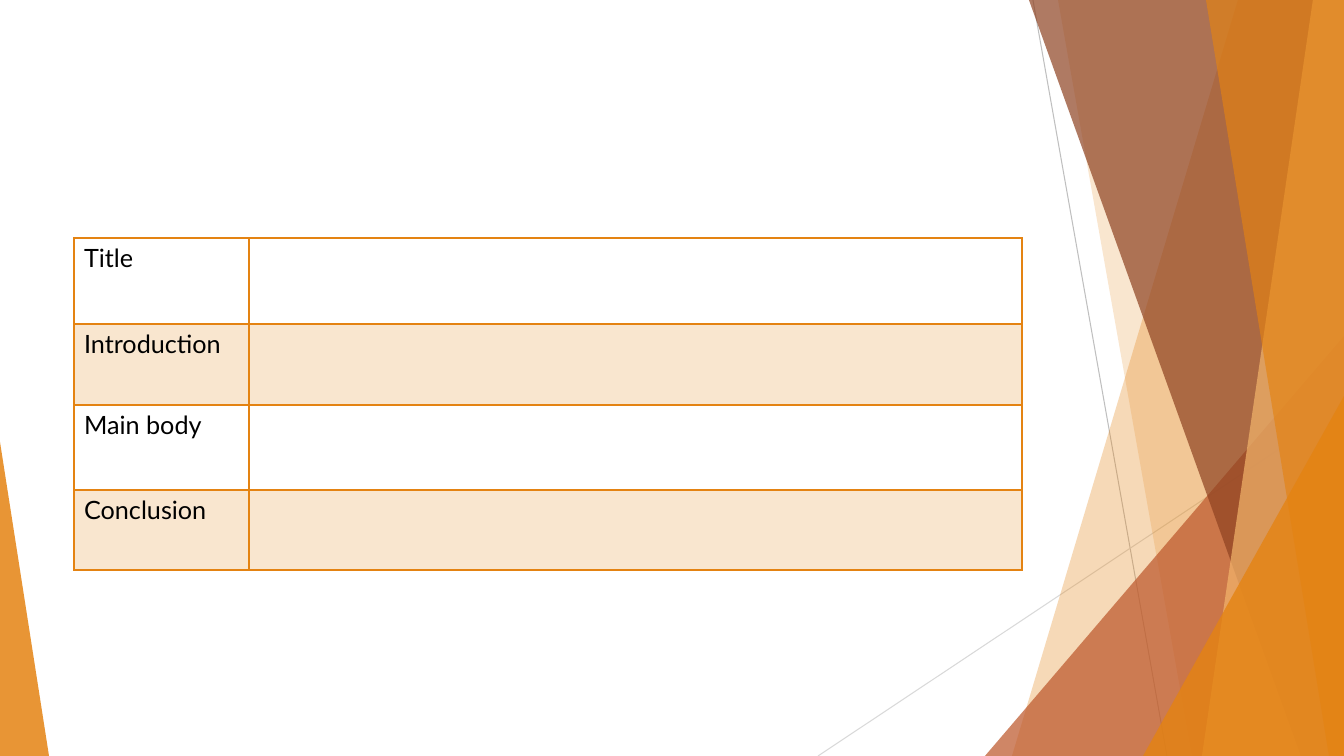
import lxml.etree
import pptx
import pptx.dml.color
import pptx.enum.shapes
import pptx.enum.text
import pptx.oxml.ns
import pptx.util

EMU_PER_PX = 914400 / 100.8
WIDTH, HEIGHT = 1344, 756
ORANGE = "E48312"
LINES = [((1033, 0), (1167, HEIGHT), "BFBFBF"), ((WIDTH, 406), (818, HEIGHT), "D9D9D9")]
BANDS_BEHIND = [(1238, 1012, ORANGE, 30), (1058, 1192, ORANGE, 20)]
BANDS_FRONT = [(1029, 1301, "8E4221", 70), (1313, 1202, "F3B56C", 70), (1206, 1329, ORANGE, 65)]
SECTIONS = ["Title", "Introduction", "Main body", "Conclusion"]
COLUMN_WIDTHS = [175, 773]
ROW_HEIGHTS = [86, 81, 85, 80]
LABEL_FORMAT = {"name": "Lato", "size": pptx.util.Pt(18), "bold": False}


def px(length):
    """Turn pixels into EMU."""
    return pptx.util.Emu(round(length * EMU_PER_PX))


def color(value):
    """Turn a hex string into a colour."""
    return pptx.dml.color.RGBColor.from_string(value)


def add_child(parent, tag, **attributes):
    """Append a DrawingML element and return it."""
    return lxml.etree.SubElement(parent, pptx.oxml.ns.qn(tag), attributes)


def paint(fill, properties, value, opacity):
    """Give a solid fill with an opacity in percent."""
    fill.solid()
    fill.fore_color.rgb = color(value)
    solid = properties.find(pptx.oxml.ns.qn("a:solidFill"))
    add_child(solid[0], "a:alpha", val=str(opacity * 1000))


def finish_shape(shape, value, opacity):
    """Paint a shape flat, with no outline or shadow."""
    paint(shape.fill, shape._element.spPr, value, opacity)
    shape.line.fill.background()
    shape.shadow.inherit = False


def add_line(page, start, end, value):
    """Draw a thin straight line."""
    line = page.shapes.add_connector(
        pptx.enum.shapes.MSO_CONNECTOR.STRAIGHT, *map(px, start + end))
    line.line.color.rgb = color(value)
    line.line.width = pptx.util.Pt(0.75)
    add_child(line._element.spPr, "a:effectLst")


def add_band(page, top, bottom, value, opacity):
    """Draw a band from a slanted left edge to the right side of the page."""
    outline = page.shapes.build_freeform(px(top), 0)
    corners = [(WIDTH, 0), (WIDTH, HEIGHT), (bottom, HEIGHT)]
    outline.add_line_segments([(px(x), px(y)) for x, y in corners], close=True)
    finish_shape(outline.convert_to_shape(), value, opacity)


def add_corner(page, left, top, width, apex, value, opacity):
    """Draw a triangle that stands on the bottom of the page."""
    shape = page.shapes.add_shape(
        pptx.enum.shapes.MSO_SHAPE.ISOSCELES_TRIANGLE,
        px(left), px(top), px(width), px(HEIGHT - top))
    shape.adjustments[0] = apex
    finish_shape(shape, value, opacity)


def add_borders(properties, bottom_width):
    """Put orange borders before the fill of a cell."""
    widths = {"a:lnL": 1, "a:lnR": 1, "a:lnT": 1, "a:lnB": bottom_width}
    for index, (tag, width) in enumerate(widths.items()):
        border = add_child(properties, tag, w=str(pptx.util.Pt(width)))
        add_child(add_child(border, "a:solidFill"), "a:srgbClr", val=ORANGE)
        properties.insert(index, border)


def write_label(cell, text):
    """Write the name of a section in a cell."""
    span = cell.text_frame.paragraphs[0].add_run()
    span.text = text
    for name, value in LABEL_FORMAT.items():
        setattr(span.font, name, value)
    span.font.color.rgb = color("000000")


def add_outline_table(page):
    """Build the table of sections with every second row tinted."""
    table = page.shapes.add_table(
        len(SECTIONS), len(COLUMN_WIDTHS), px(74), px(238),
        px(sum(COLUMN_WIDTHS)), px(sum(ROW_HEIGHTS))).table
    table.first_row = table.horz_banding = False
    for column, width in zip(table.columns, COLUMN_WIDTHS):
        column.width = px(width)
    for index, (row, height) in enumerate(zip(table.rows, ROW_HEIGHTS)):
        row.height = px(height)
        for cell in row.cells:
            properties = cell._tc.get_or_add_tcPr()
            if index % 2:
                paint(cell.fill, properties, ORANGE, 20)
            else:
                cell.fill.background()
            add_borders(properties, 1 if index else 2)
        write_label(row.cells[0], SECTIONS[index])


def main():
    """Build the slide and save it."""
    deck = pptx.Presentation()
    deck.slide_width, deck.slide_height = px(WIDTH), px(HEIGHT)
    page = deck.slides.add_slide(deck.slide_layouts[6])
    for line in LINES:
        add_line(page, *line)
    for band in BANDS_BEHIND:
        add_band(page, *band)
    add_corner(page, 985, 336, 359, 1, "BD582C", 72)
    for band in BANDS_FRONT:
        add_band(page, *band)
    add_corner(page, 1143, 396, 201, 1, ORANGE, 80)
    add_corner(page, 0, 442, 49, 0, ORANGE, 85)
    add_outline_table(page)
    deck.save("out.pptx")


if __name__ == "__main__":
    main()
